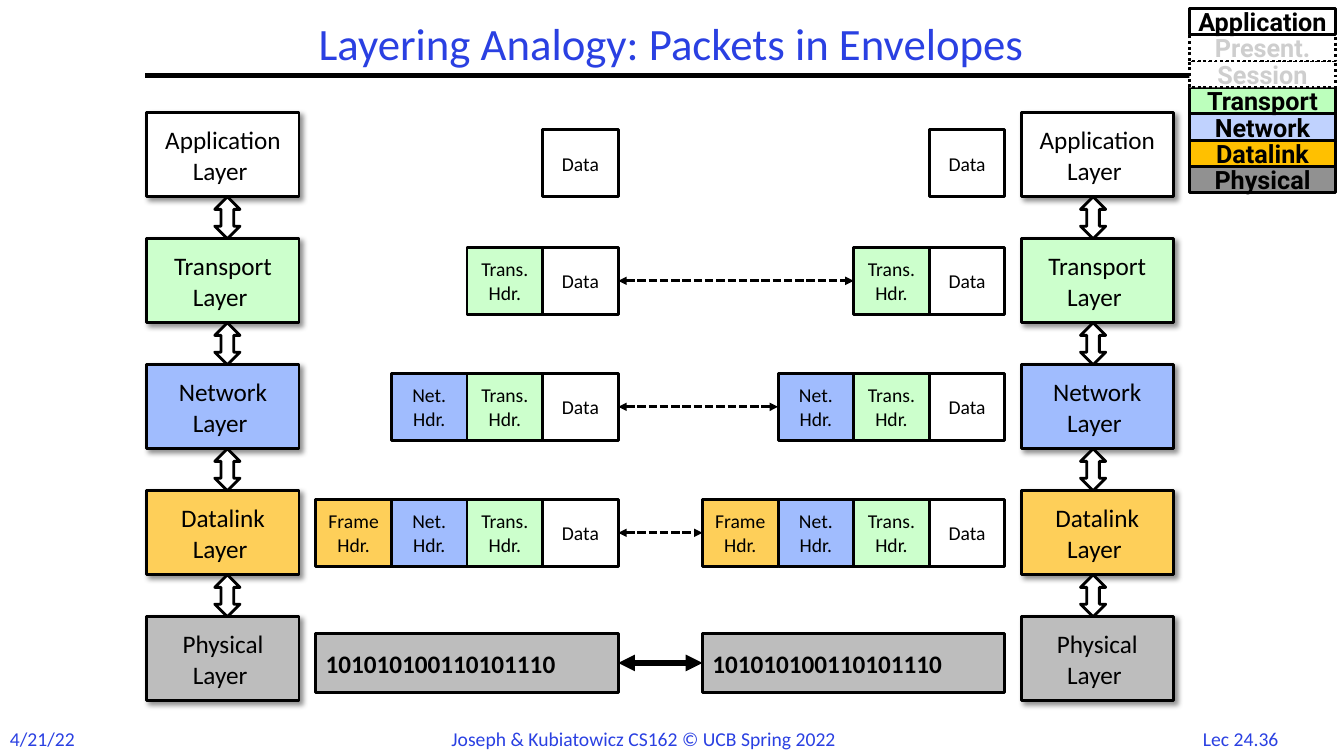
from dataclasses import dataclass

from lxml import etree
from pptx import Presentation
from pptx.dml.color import RGBColor
from pptx.enum import dml, shapes, text
from pptx.oxml import ns
from pptx.util import Pt


@dataclass(frozen=True)
class Theme:
    font: str = "Calibri"
    legend_font: str = "Roboto"
    title_size: int = 32
    body_size: int = 18
    small_size: int = 14
    accent: str = "2A40E2"
    ink: str = "000000"
    faded: str = "CECECE"
    paper: str = "FFFFFF"
    green: str = "CCFFCC"
    blue: str = "A0BCFE"
    amber: str = "FECF59"
    grey: str = "BDBDBD"
    pale_green: str = "BCFFBC"
    pale_blue: str = "C0D2FE"
    gold: str = "FFC000"
    dark_grey: str = "919191"


THEME = Theme()
CENTER, LEFT = text.PP_ALIGN.CENTER, text.PP_ALIGN.LEFT

# Layer name, fill, and the header that this layer puts before the data
LAYERS = [
    ("Application", THEME.paper, None),
    ("Transport", THEME.green, "Trans.\nHdr."),
    ("Network", THEME.blue, "Net.\nHdr."),
    ("Datalink", THEME.amber, "Frame\nHdr."),
    ("Physical", THEME.grey, None),
]
LEGEND = [
    ("Application", THEME.paper),
    ("Present.", None),
    ("Session", None),
    ("Transport", THEME.pale_green),
    ("Network", THEME.pale_blue),
    ("Datalink", THEME.gold),
    ("Physical", THEME.dark_grey),
]
FOOTERS = [
    ("Lec 24.36", 847.4, 77.8, CENTER),
    ("4/21/22", 0, 80, LEFT),
    ("Joseph & Kubiatowicz CS162 © UCB Spring 2022", 315.4, 297.4, LEFT),
]

STACK_TOP, PITCH = 80.6, 90
LAYER_W, LAYER_H = 108.7, 60
CELL_W, CELL_H = 54, 48
BITS_W, BITS_H = 216, 41.8
ARROW_W = 18
LEGEND_X, LEGEND_Y, LEGEND_W, LEGEND_PITCH = 849.6, 5.9, 104.4, 18.84
# Left edges of the layer stack, its arrows and the end of the packets, per host
HOSTS = [(104.9, 153.4, 441.6), (729.4, 771.8, 717.8)]


def rgb(value):
    return RGBColor.from_string(value)


def write(shape, words, size, color=THEME.ink, align=CENTER, bold=False,
          font=THEME.font, wrap=True):
    frame = shape.text_frame
    frame.word_wrap = wrap
    frame.text = words
    for para in frame.paragraphs:
        para.alignment = align
        for span in para.runs:
            span.font.size = Pt(size)
            span.font.name = font
            span.font.bold = bold
            span.font.color.rgb = rgb(color)
    return frame


def add_label(page, words, x, y, width, height, size, align=CENTER):
    box = page.shapes.add_textbox(Pt(x), Pt(y), Pt(width), Pt(height))
    return write(box, words, size, THEME.accent, align)


def add_block(page, x, y, width, height, fill, kind=shapes.MSO_SHAPE.RECTANGLE):
    """Outlined preset shape without a shadow."""
    block = page.shapes.add_shape(kind, Pt(x), Pt(y), Pt(width), Pt(height))
    block.shadow.inherit = False
    block.fill.solid()
    block.fill.fore_color.rgb = rgb(fill)
    block.line.color.rgb = rgb(THEME.ink)
    block.line.width = Pt(2)
    return block


def add_shadow(block):
    effects = block._element.spPr.find(ns.qn("a:effectLst"))
    shadow = etree.SubElement(effects, ns.qn("a:outerShdw"), blurRad=str(Pt(4)),
                              dist=str(Pt(3)), dir="2700000", algn="tl",
                              rotWithShape="0")
    color = etree.SubElement(shadow, ns.qn("a:srgbClr"), val=THEME.ink)
    etree.SubElement(color, ns.qn("a:alpha"), val="43000")


def add_line(page, x1, x2, y, width, dash=None, arrows=True):
    line = page.shapes.add_connector(shapes.MSO_CONNECTOR.STRAIGHT,
                                     Pt(x1), Pt(y), Pt(x2), Pt(y))
    line.line.color.rgb = rgb(THEME.ink)
    line.line.width = Pt(width)
    if dash:
        line.line.dash_style = dash
    if arrows:
        for end in ("a:headEnd", "a:tailEnd"):
            etree.SubElement(line.line._get_or_add_ln(), ns.qn(end), type="triangle")
    etree.SubElement(line._element.spPr, ns.qn("a:effectLst"))


def add_layer(page, name, fill, x, y):
    block = add_block(page, x, y, LAYER_W, LAYER_H, fill)
    add_shadow(block)
    write(block, f"{name} Layer ", THEME.body_size)


def add_packet(page, cells, right, y):
    """Row of cells that ends at right."""
    left = right - len(cells) * CELL_W
    for index, (words, fill) in enumerate(cells):
        cell = add_block(page, left + index * CELL_W, y, CELL_W, CELL_H, fill)
        frame = write(cell, words, THEME.small_size)
        if words.startswith("Frame"):
            frame.margin_left = frame.margin_right = 0


def add_bits(page, right, y):
    block = add_block(page, right - BITS_W, y, BITS_W, BITS_H, THEME.grey)
    write(block, "101010100110101110", THEME.body_size, align=LEFT, bold=True)


def add_stacks(page):
    sender_end, receiver_end = (host[2] for host in HOSTS)
    cells = [("Data", THEME.paper)]
    for level, (name, fill, header) in enumerate(LAYERS):
        top = STACK_TOP + level * PITCH
        is_physical = level == len(LAYERS) - 1
        if header:
            cells.insert(0, (header, fill))
        content_top = top + (6 if header else 12)
        for layer_x, arrow_x, packet_end in HOSTS:
            add_layer(page, name, fill, layer_x, top)
            if is_physical:
                add_bits(page, packet_end, content_top)
            else:
                add_packet(page, cells, packet_end, content_top)
                add_block(page, arrow_x, top + LAYER_H, ARROW_W, PITCH - LAYER_H,
                          THEME.paper, shapes.MSO_SHAPE.UP_DOWN_ARROW)
        if is_physical:
            add_line(page, sender_end, receiver_end - BITS_W,
                     content_top + BITS_H / 2, 4)
        elif header:
            add_line(page, sender_end, receiver_end - len(cells) * CELL_W,
                     content_top + CELL_H / 2, 2, dml.MSO_LINE.SQUARE_DOT)


def add_legend(page):
    """Layer list in the corner; layers without a fill are unused."""
    for index, (name, fill) in reversed(list(enumerate(LEGEND))):
        block = add_block(page, LEGEND_X, LEGEND_Y + index * LEGEND_PITCH,
                          LEGEND_W, LEGEND_PITCH, fill or THEME.paper)
        if not fill:
            block.line.dash_style = dml.MSO_LINE.ROUND_DOT
        write(block, name, THEME.body_size, THEME.ink if fill else THEME.faded,
              bold=True, font=THEME.legend_font, wrap=False)


def main():
    deck = Presentation()
    deck.slide_width, deck.slide_height = Pt(960), Pt(540)
    page = deck.slides.add_slide(deck.slide_layouts[6])
    for words, x, width, align in FOOTERS:
        add_label(page, words, x, 515.5, width, 24.2, THEME.small_size, align)
    add_line(page, 103.7, 856.1, 54, 3, arrows=False)
    add_stacks(page)
    title = add_label(page, "Layering Analogy: Packets in Envelopes",
                      103.7, 12.2, 751.7, 41.8, THEME.title_size)
    title.vertical_anchor = text.MSO_ANCHOR.MIDDLE
    title.paragraphs[0].line_spacing = 0.9
    add_legend(page)
    deck.save("out.pptx")


if __name__ == "__main__":
    main()
